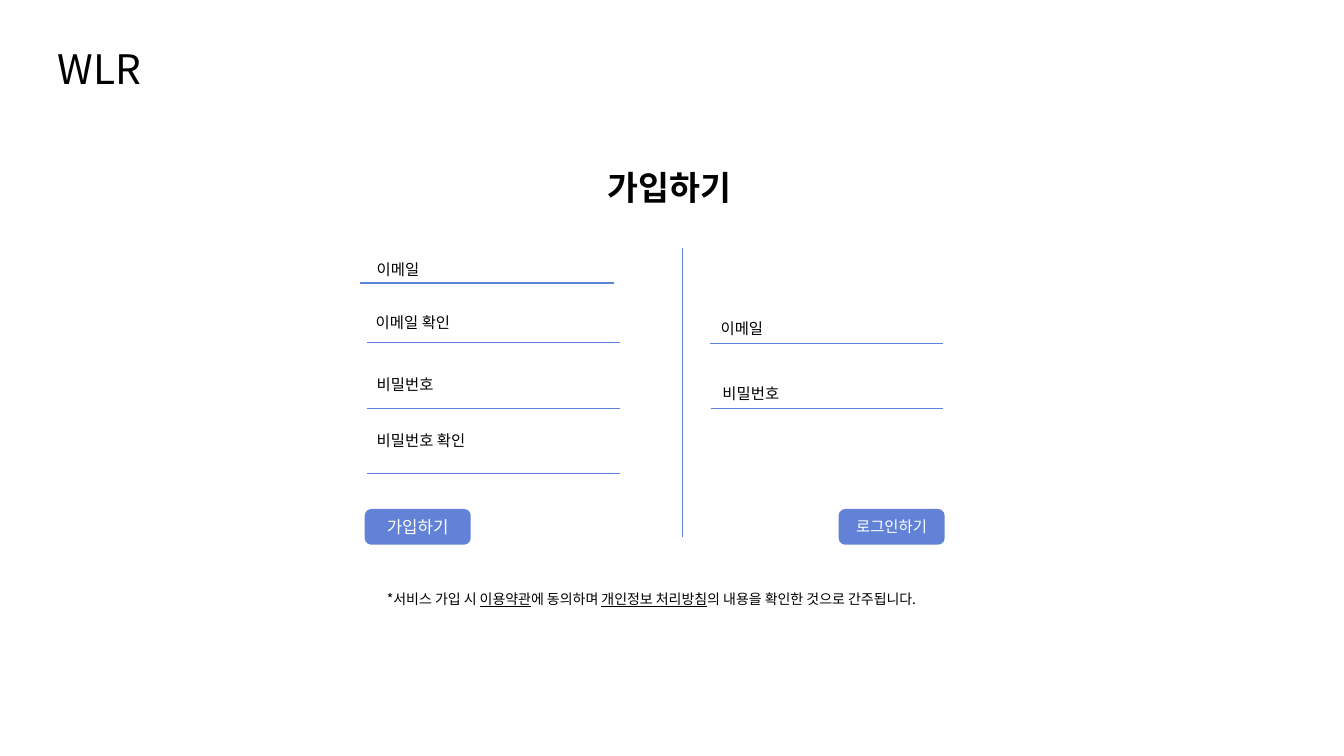
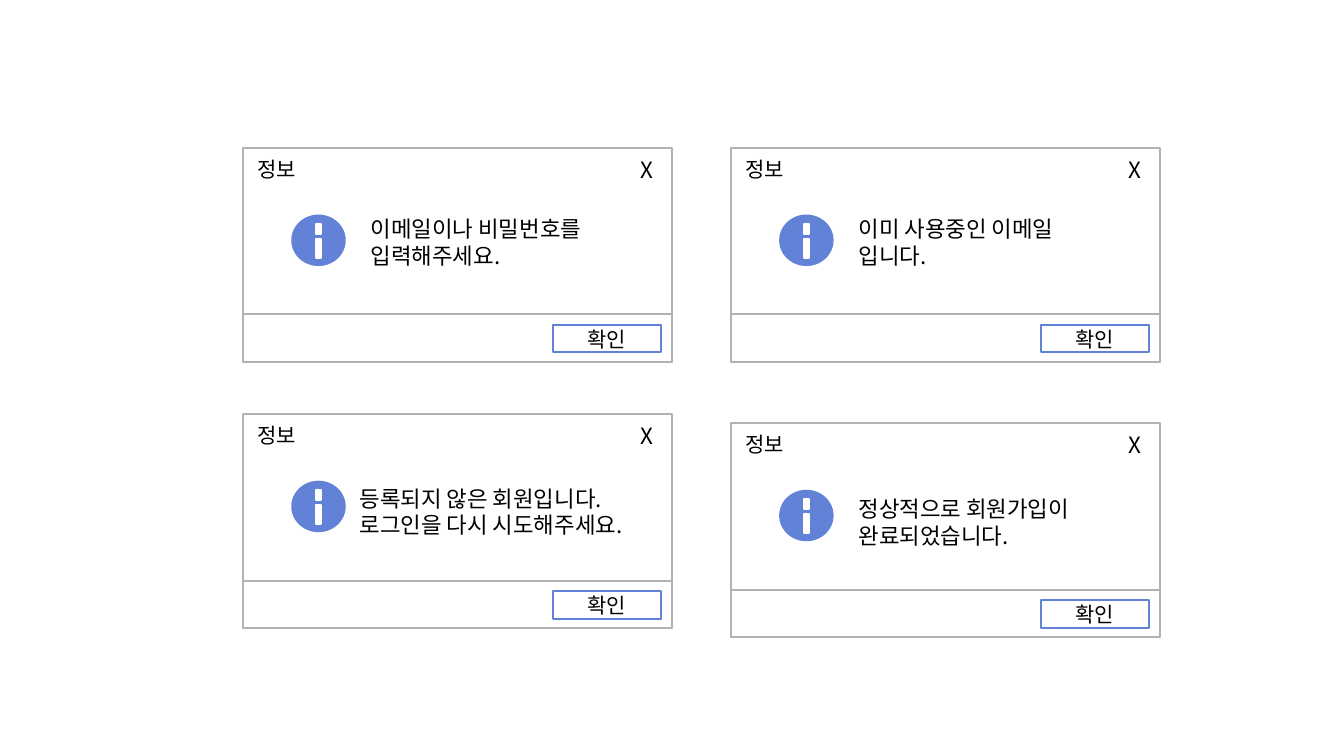
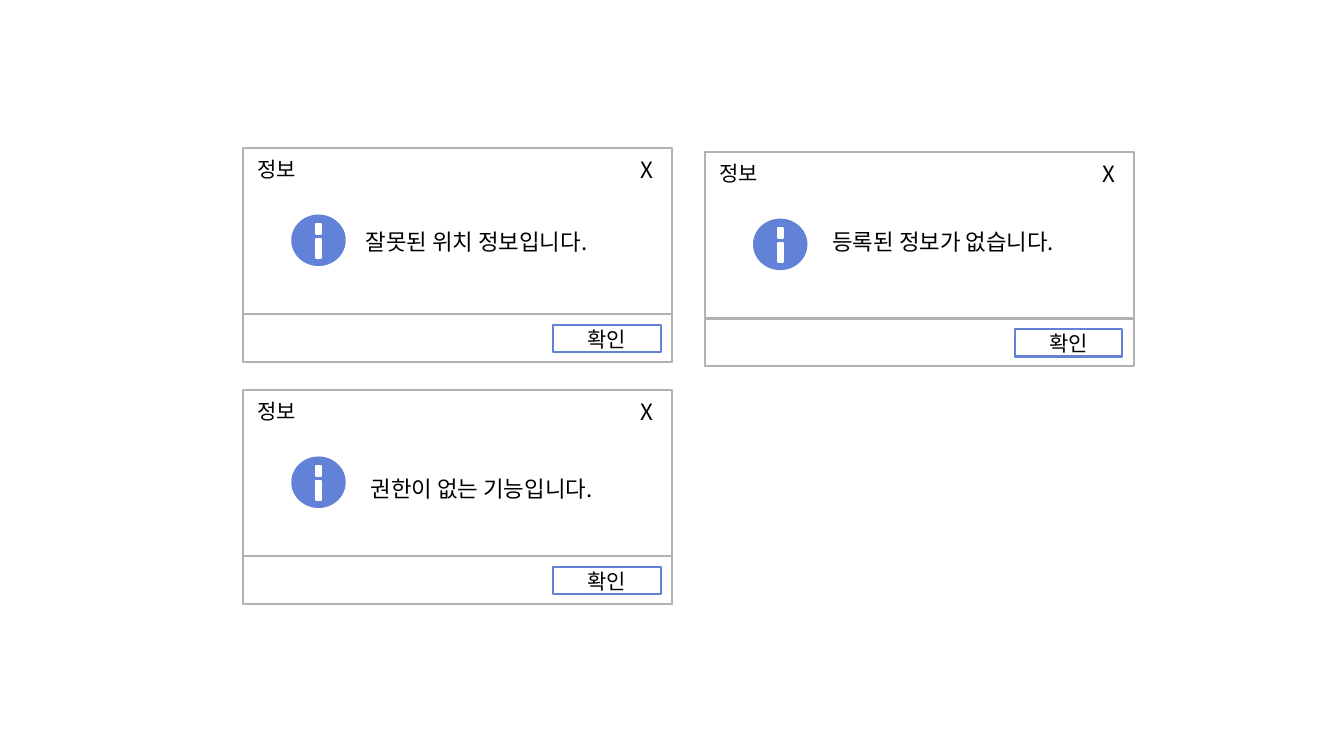
from dataclasses import dataclass

from lxml.etree import SubElement
from pptx import Presentation
from pptx.dml.color import RGBColor
from pptx.enum.shapes import MSO_CONNECTOR, MSO_SHAPE
from pptx.enum.text import MSO_ANCHOR, PP_ALIGN
from pptx.oxml.ns import qn
from pptx.util import Pt


@dataclass(frozen=True)
class Theme:
    black: str = "000000"
    white: str = "FFFFFF"
    blue: str = "6182D6"
    rule: str = "5E81D9"
    gray: str = "B2B2B2"
    sans: str = "Noto Sans CJK KR"
    body: str = "Calibri"
    logo: int = 29
    title: int = 24
    message: int = 16
    caption: int = 15
    button: int = 12
    field: int = 11
    note: int = 10
    border: float = 1.5
    line: float = 1


T = Theme()


def rgb(color):
    return RGBColor.from_string(color)


def add_run(p, text, size, font, color=T.black, bold=None, underline=None):
    r = p.add_run()
    r.text = text
    f = r.font
    f.size, f.name, f.bold, f.underline = Pt(size), font, bold, underline
    f.color.rgb = rgb(color)
    SubElement(r._r.get_or_add_rPr(), qn("a:ea")).set("typeface", T.sans)


def add_text(shapes, x, y, w, h, lines, size, font, bold=None):
    tf = shapes.add_textbox(Pt(x), Pt(y), Pt(w), Pt(h)).text_frame
    tf.word_wrap = True
    for i, line in enumerate(lines):
        p = tf.paragraphs[0] if i == 0 else tf.add_paragraph()
        add_run(p, line, size, font, bold=bold)
    return tf


def add_box(shapes, kind, x, y, w, h, fill, line):
    sp = shapes.add_shape(kind, Pt(x), Pt(y), Pt(w), Pt(h))
    sp.shadow.inherit = False
    sp.fill.solid()
    sp.fill.fore_color.rgb = rgb(fill)
    sp.line.color.rgb = rgb(line)
    sp.line.width = Pt(T.border)
    return sp


def add_label(sp, text, size, font, color):
    tf = sp.text_frame
    tf.margin_left = tf.margin_right = tf.margin_top = tf.margin_bottom = 0
    tf.vertical_anchor = MSO_ANCHOR.MIDDLE
    p = tf.paragraphs[0]
    p.alignment = PP_ALIGN.CENTER
    add_run(p, text, size, font, color)


def add_line(shapes, x1, y1, x2, y2):
    c = shapes.add_connector(MSO_CONNECTOR.STRAIGHT, Pt(x1), Pt(y1), Pt(x2), Pt(y2))
    c.line.color.rgb = rgb(T.rule)
    c.line.width = Pt(T.line)
    SubElement(c._element.spPr, qn("a:effectLst"))


def add_form(shapes, x, y, fields, button, button_x, size):
    for label, dx, dy, rule_dx, rule_dy, rule_w in fields:
        add_text(shapes, x + dx, y + dy, 98, 20.5, [label], T.field, T.body)
        add_line(shapes, x + rule_dx, y + rule_dy, x + rule_dx + rule_w, y + rule_dy)
    sp = add_box(shapes, MSO_SHAPE.ROUNDED_RECTANGLE, x + button_x, y + 187.2, 74.2, 24,
                 T.blue, T.blue)
    add_label(sp, button, size, T.body, T.white)


def add_signup_slide(s):
    shapes = s.shapes
    add_text(shapes, 34, 28, 106, 41, ["WLR"], T.logo, T.sans)
    add_text(shapes, 427, 116, 122, 35, ["가입하기"], T.title, T.body, bold=True)
    add_form(shapes, 257, 177.1, [
        ("이메일", 5, 5, 0, 25.2, 181.4),
        ("이메일 확인", 4.3, 43.2, 5, 67.7, 180.7),
        ("비밀번호", 5, 87.1, 5, 114.5, 180.7),
        ("비밀번호 확인", 5, 127.5, 5, 161.3, 180.7),
    ], "가입하기", 4.3, T.button)
    add_line(shapes, 487.4, 177.1, 487.4, 383.8)
    add_form(shapes, 506.9, 177.1, [
        ("이메일", 0.7, 47.5, 0, 68.4, 167),
        ("비밀번호", 2.1, 93.6, 0.7, 114.5, 166.3),
    ], "로그인하기", 92.9, T.field)
    note = add_text(shapes, 269.3, 418.3, 436.3, 18.7, [], T.note, T.sans)
    for text, underline in [
        ("*서비스 가입 시 ", False),
        ("이용약관", True),
        ("에 동의하며 ", False),
        ("개인정보 처리방침", True),
        ("의 내용을 확인한 것으로 간주됩니다.", False),
    ]:
        add_run(note.paragraphs[0], text, T.note, T.sans, underline=underline)


def add_dialog(s, x, y, message, dx, dy, w=193, h=45.4):
    shapes = s.shapes.add_group_shape().shapes
    rect = MSO_SHAPE.RECTANGLE
    add_box(shapes, rect, x, y, 306.7, 152.6, T.white, T.gray)
    add_box(shapes, rect, x, y + 118.8, 306.7, 33.8, T.white, T.gray)
    ok = add_box(shapes, rect, x + 221.5, y + 126.5, 77, 19.5, T.white, T.blue)
    add_label(ok, "확인", T.caption, T.sans, T.black)
    add_text(shapes, x + 3.4, y + 2.2, 50.4, 24.5, ["정보"], T.caption, T.body)
    add_text(shapes, x + 277.2, y + 2.2, 29.5, 26, ["X"], T.message, T.sans)
    add_box(shapes, MSO_SHAPE.OVAL, x + 35.3, y + 48.2, 37.4, 35.3, T.blue, T.blue)
    for bar_y, bar_h in [(64.8, 13.7), (54, 7.2)]:
        add_box(shapes, rect, x + 52.5, y + bar_y, 3.6, bar_h, T.white, T.white)
    add_text(s.shapes, x + dx, y + dy, w, h, message, T.message, T.sans)


def main():
    prs = Presentation()
    prs.slide_width, prs.slide_height = Pt(960), Pt(540)
    blank = prs.slide_layouts[6]
    add_signup_slide(prs.slides.add_slide(blank))
    for dialogs in [
        [
            (173.5, 105.8, ["이메일이나 비밀번호를 입력해주세요."], 84.2, 44.6),
            (173.5, 295.9, ["등록되지 않은 회원입니다. 로그인을 다시 시도해주세요."], 76.3, 46.8, 222.5),
            (522, 105.8, ["이미 사용중인 이메일", "입니다."], 84.2, 44.6),
            (522, 302.4, ["정상적으로 회원가입이 완료되었습니다."], 84.2, 47.5),
        ],
        [
            (173.5, 105.8, ["잘못된 위치 정보입니다."], 80.6, 53.3, 193, 26),
            (503.3, 108.7, ["등록된 정보가 없습니다."], 84.2, 50.4, 193, 26),
            (173.5, 278.6, ["권한이 없는 기능입니다."], 84.2, 56.9, 193, 26),
        ],
    ]:
        s = prs.slides.add_slide(blank)
        for dialog in dialogs:
            add_dialog(s, *dialog)


    prs.save("out.pptx")


if __name__ == "__main__":
    main()
